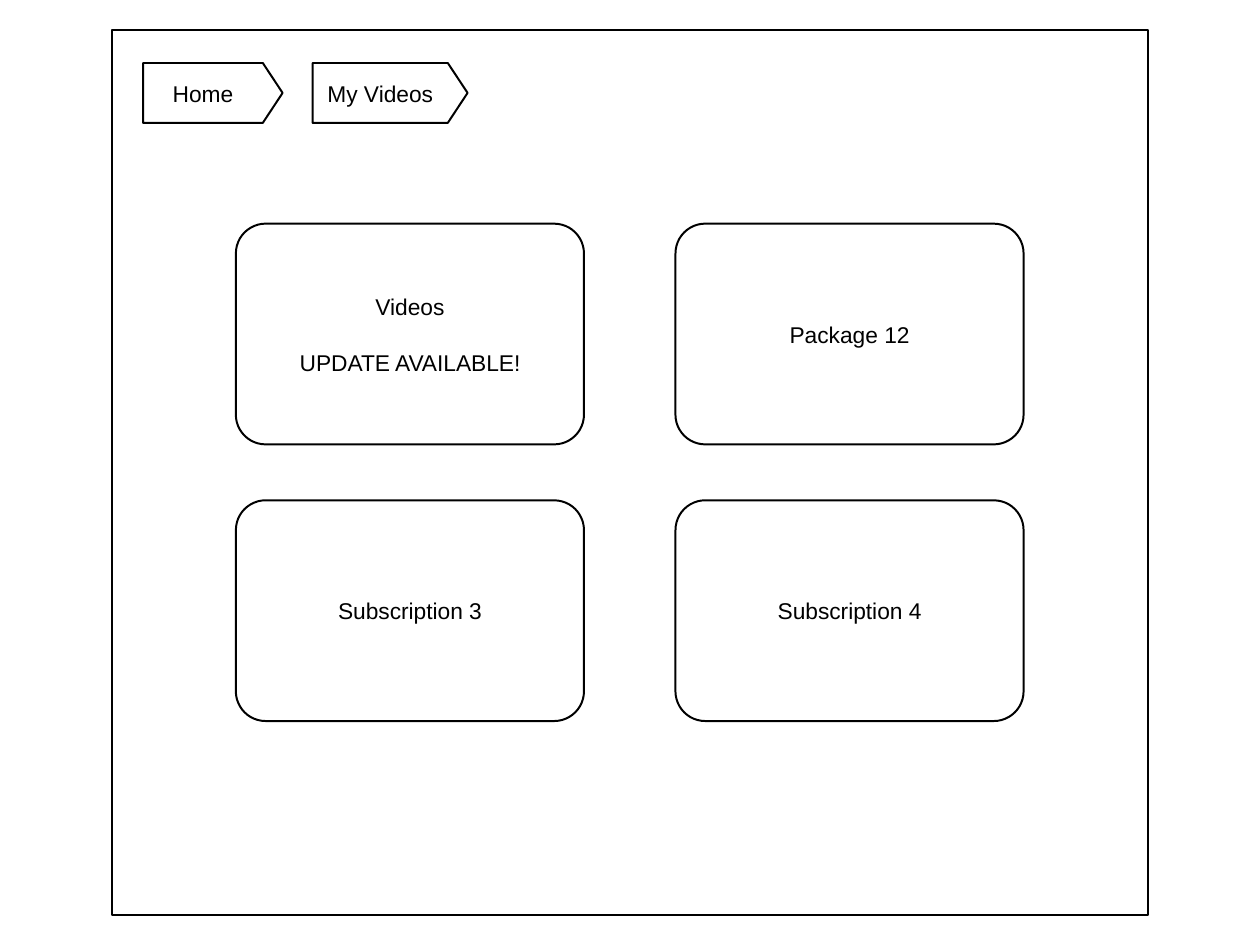
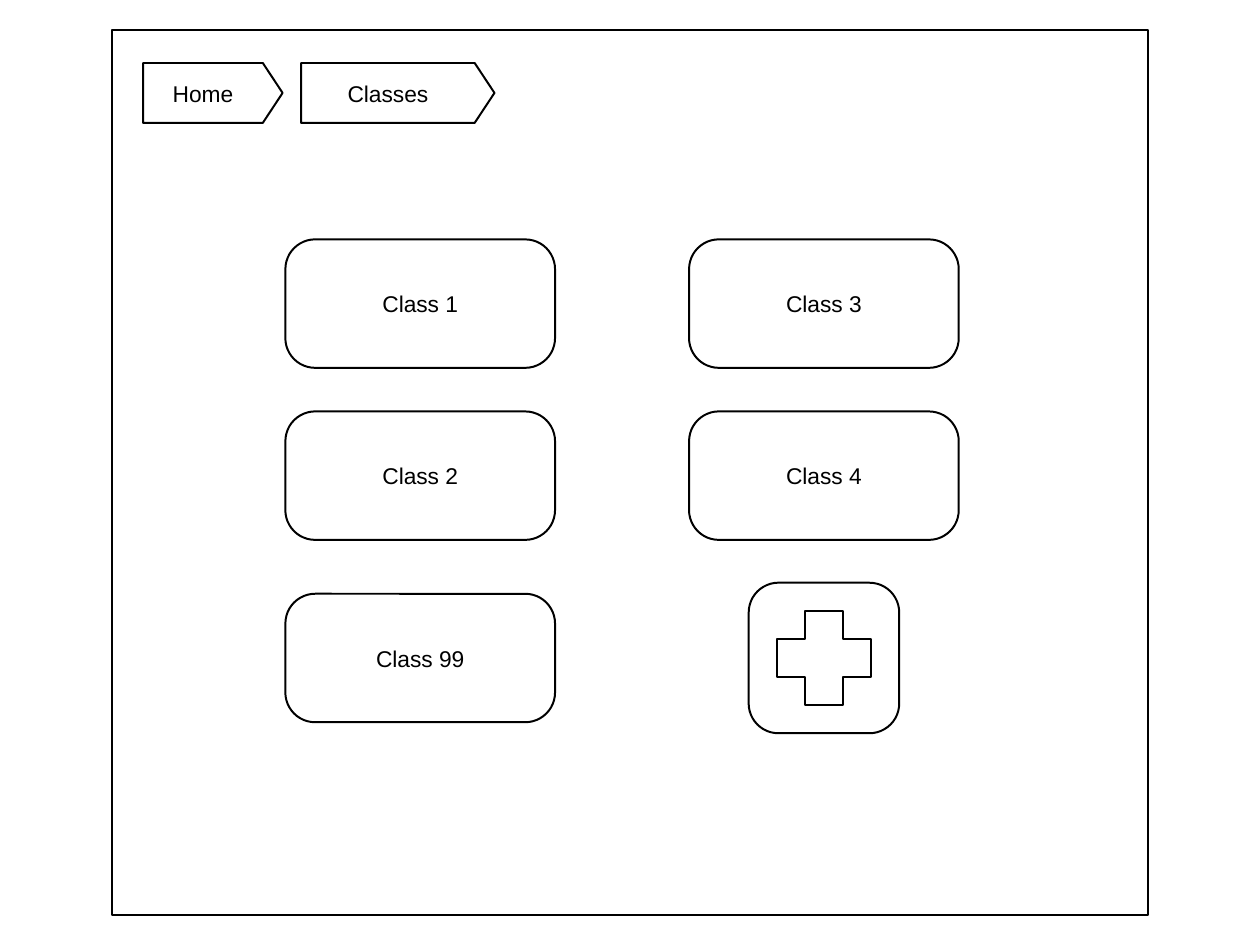
from dataclasses import dataclass

from pptx import Presentation
from pptx.dml.color import RGBColor
from pptx.enum.shapes import MSO_SHAPE
from pptx.enum.text import MSO_ANCHOR, PP_ALIGN
from pptx.util import Pt

BLACK = RGBColor(0, 0, 0)
WHITE = RGBColor(255, 255, 255)
FONT_NAME = "Arial"
FONT_SIZE = 13
LINE_WIDTH = 1.13
PARAGRAPH_GAP = 16.5
CORNER_RADIUS = 17
CRUMB_HEIGHT = 34.2
CRUMB_TIP = 11.3
HOME_WIDTH = 79.7


@dataclass
class Box:
    """A rectangle in points."""

    left: float
    top: float
    width: float
    height: float

    def inner(self, left, top, width, height):
        """Return a box placed relative to this one."""
        return Box(self.left + left, self.top + top, width, height)

    def centered(self, width, height):
        """Return a box sharing this one's centre."""
        return self.inner((self.width - width) / 2, (self.height - height) / 2, width, height)


FRAME = Box(64, 17.1, 592, 505.8)


def add_outline(slide, kind, box, lines=(), adjustment=None, right_inset=0):
    """Add a white shape with a black outline and centred text lines."""
    shape = slide.shapes.add_shape(
        kind, Pt(box.left), Pt(box.top), Pt(box.width), Pt(box.height)
    )
    if adjustment is not None:
        shape.adjustments[0] = adjustment / min(box.width, box.height)
    shape.shadow.inherit = False
    shape.fill.solid()
    shape.fill.fore_color.rgb = WHITE
    shape.line.color.rgb = BLACK
    shape.line.width = Pt(LINE_WIDTH)
    frame = shape.text_frame
    frame.word_wrap = True
    frame.vertical_anchor = MSO_ANCHOR.MIDDLE
    frame.margin_left = frame.margin_top = frame.margin_bottom = 0
    frame.margin_right = Pt(right_inset)
    for index, line in enumerate(lines):
        paragraph = frame.paragraphs[0] if index == 0 else frame.add_paragraph()
        paragraph.alignment = PP_ALIGN.CENTER
        if index:
            paragraph.space_before = Pt(PARAGRAPH_GAP)
        run = paragraph.add_run()
        run.text = line
        run.font.name = FONT_NAME
        run.font.size = Pt(FONT_SIZE)
        run.font.color.rgb = BLACK


def add_card(slide, box, *lines):
    """Add a rounded card."""
    add_outline(slide, MSO_SHAPE.ROUNDED_RECTANGLE, box, lines, CORNER_RADIUS)


def add_breadcrumbs(slide, box, page_name, page_width, gap):
    """Add the Home crumb and the crumb of the current page."""
    left = 0
    for label, width in (("Home", HOME_WIDTH), (page_name, page_width)):
        crumb = box.inner(left, 0, width, CRUMB_HEIGHT)
        add_outline(slide, MSO_SHAPE.PENTAGON, crumb, [label], CRUMB_TIP, CRUMB_TIP / 2)
        left += width + gap


def add_screen(presentation, page_name, page_width, crumb_gap):
    """Add a slide with the window frame and breadcrumbs."""
    slide = presentation.slides.add_slide(presentation.slide_layouts[6])
    add_outline(slide, MSO_SHAPE.RECTANGLE, FRAME)
    crumbs = FRAME.inner(17.8, 18.9, FRAME.width - 36, CRUMB_HEIGHT)
    add_breadcrumbs(slide, crumbs, page_name, page_width, crumb_gap)
    return slide


def add_card_grid(slide, box, rows, card_width, card_height):
    """Spread rows of cards evenly to the edges of the box."""
    column_step = box.width - card_width
    row_step = (box.height - card_height) / (len(rows) - 1)
    for row_index, row in enumerate(rows):
        for column_index, lines in enumerate(row):
            card = box.inner(
                column_index * column_step, row_index * row_step, card_width, card_height
            )
            add_card(slide, card, *lines)


def add_plus_button(slide, box):
    """Add a square button holding a plus sign."""
    add_card(slide, box)
    add_outline(slide, MSO_SHAPE.CROSS, box.centered(53.7, 53.7), adjustment=16)


def build_videos(presentation):
    """Build the My Videos screen."""
    slide = add_screen(presentation, "My Videos", 88.6, 17.1)
    rows = [
        [("Videos", "UPDATE AVAILABLE!"), ("Package 12",)],
        [("Subscription 3",), ("Subscription 4",)],
    ]
    add_card_grid(slide, FRAME.inner(70.8, 110.7, 450.1, 284.2), rows, 198.9, 126.1)


def build_classes(presentation):
    """Build the Classes screen."""
    slide = add_screen(presentation, "Classes", 110.5, 10.6)
    card_width, card_height = 154.1, 73.4
    grid = FRAME.inner(99.1, 119.7, 384.8, 171.7)
    rows = [[("Class 1",), ("Class 3",)], [("Class 2",), ("Class 4",)]]
    add_card_grid(slide, grid, rows, card_width, card_height)
    last_row_top = 202.5
    add_card(slide, grid.inner(0, last_row_top, card_width, card_height), "Class 99")
    cell = grid.inner(grid.width - card_width, last_row_top, card_width, card_height)
    add_plus_button(slide, cell.centered(86, 86))


def main():
    """Build and save the presentation."""
    presentation = Presentation()
    presentation.slide_width = Pt(720)
    presentation.slide_height = Pt(540)
    build_videos(presentation)
    build_classes(presentation)
    presentation.save("out.pptx")


if __name__ == "__main__":
    main()
